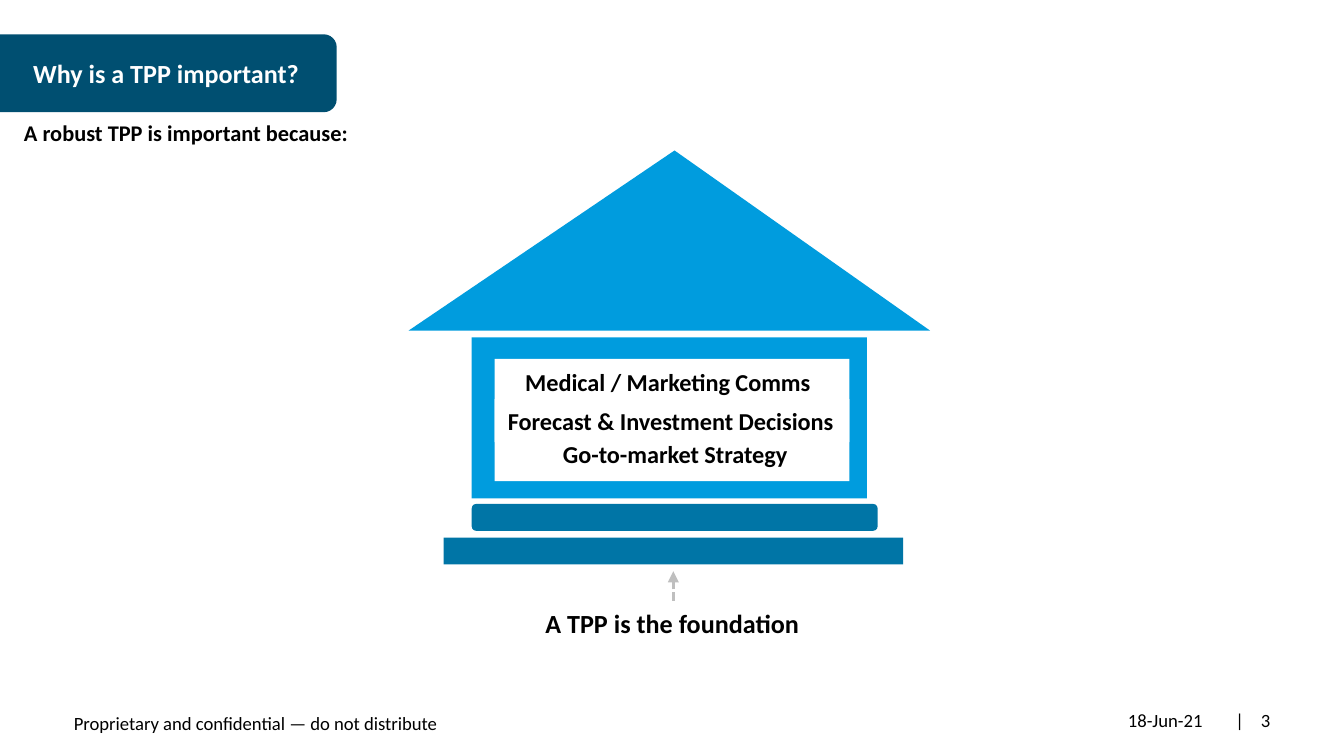
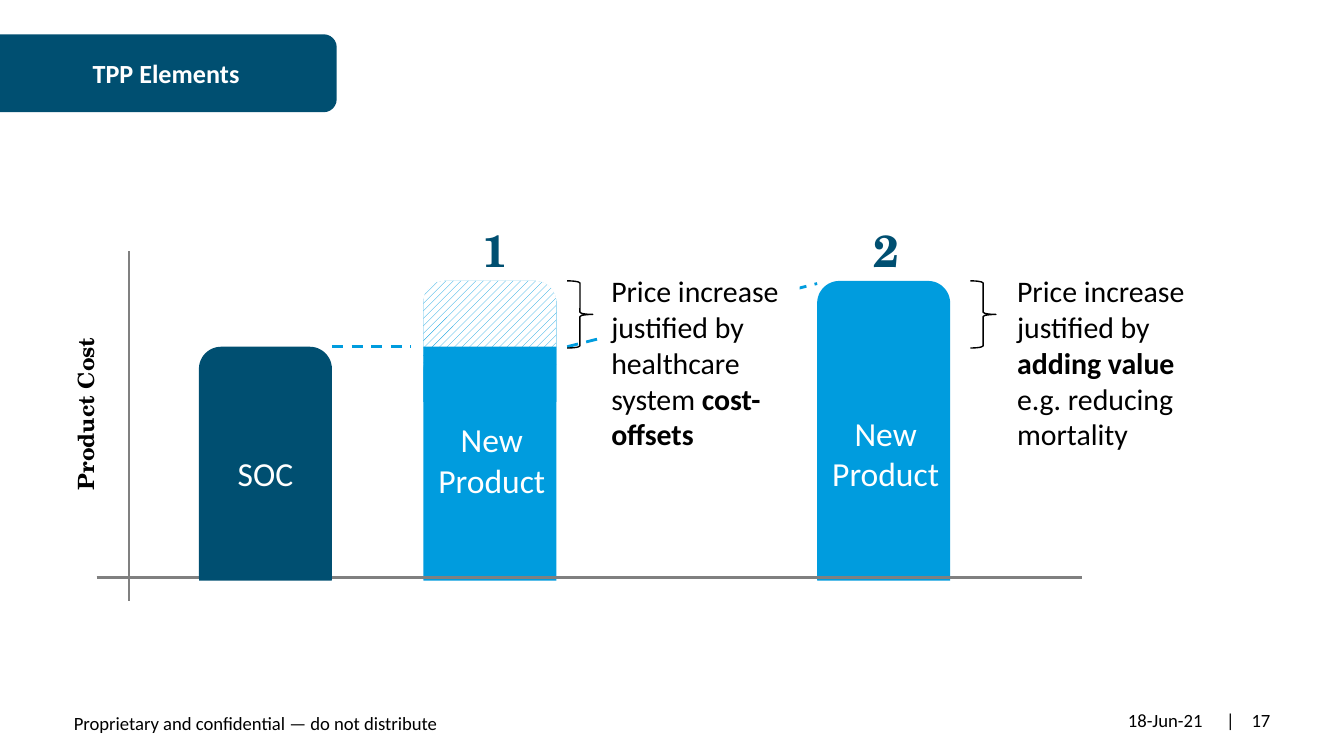
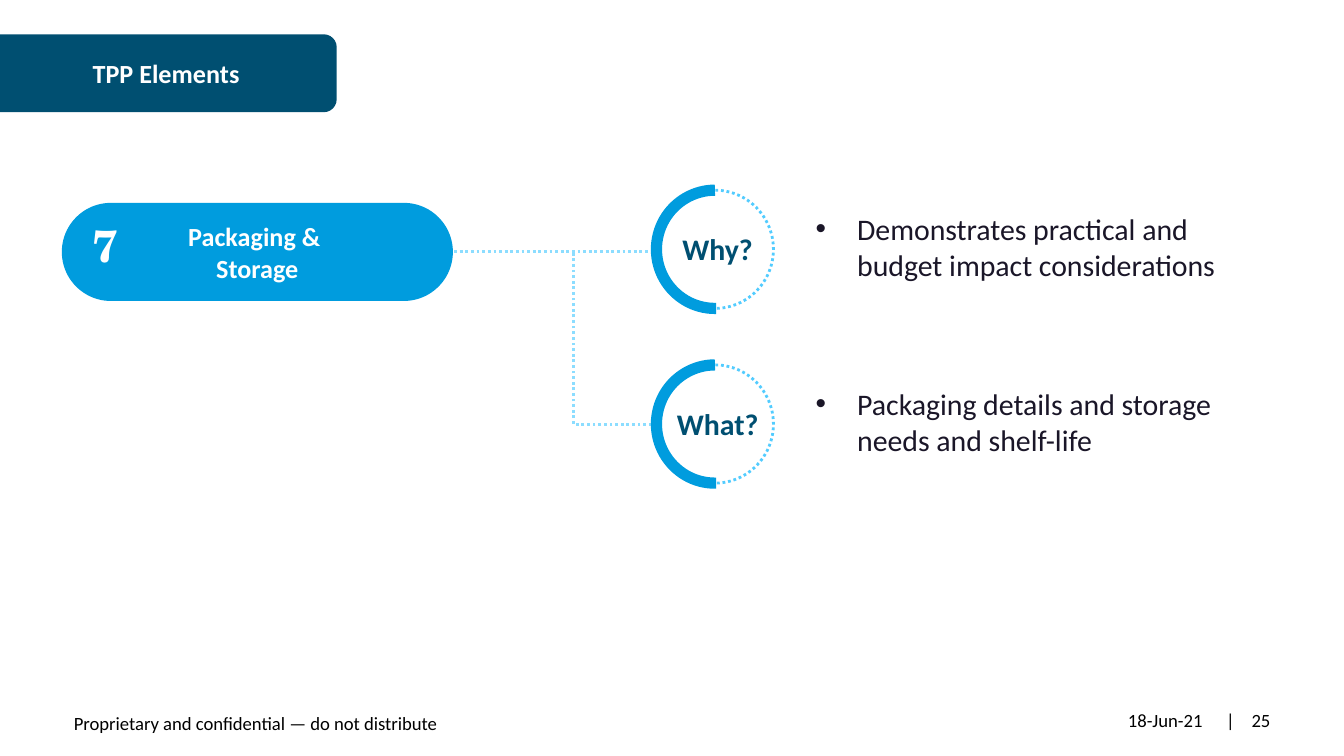
from lxml import etree
from pptx import Presentation
from pptx import util as u
from pptx.dml.color import RGBColor
from pptx.enum import dml, shapes, text
from pptx.oxml.ns import qn

COLORS = {
    "navy": "004F71", "blue": "009CDE", "steel": "0075A6", "sky": "52CCFF",
    "pale": "8CDDFF", "axis": "808080", "arrow": "BFBFBF", "ink": "1A1628",
    "black": "000000", "white": "FFFFFF",
}
RGB = {key: RGBColor.from_string(value) for key, value in COLORS.items()}
BODY, SERIF = "Calibri", "TeX Gyre Schola"
FORM = shapes.MSO_SHAPE
DASH = dml.MSO_LINE
LEFT, CENTER, RIGHT = text.PP_ALIGN.LEFT, text.PP_ALIGN.CENTER, text.PP_ALIGN.RIGHT
TOP, MIDDLE, BOTTOM = text.MSO_ANCHOR.TOP, text.MSO_ANCHOR.MIDDLE, text.MSO_ANCHOR.BOTTOM


def put(canvas, box, words="", form=None, fill=None, line=None, size=10, color="black",
        bold=False, font=BODY, align=LEFT, anchor=TOP, wrap=True, grow=False,
        insets=(0.1, 0.1), turn=0):
    """Add a shape, or a text box if form is None; **marks** make words bold."""
    place = [u.Inches(n) for n in box]
    item = canvas.add_shape(form, *place) if form else canvas.add_textbox(*place)
    item.rotation = turn
    if form:
        item.shadow.inherit = False
        if fill:
            item.fill.solid()
            item.fill.fore_color.rgb = RGB[fill]
        else:
            item.fill.background()
        if line:
            tint, weight, dash = line
            item.line.color.rgb = RGB[tint]
            item.line.width = u.Pt(weight)
            item.line.dash_style = dash
        else:
            item.line.fill.background()
    if not words:
        return item
    frame = item.text_frame
    frame.word_wrap = wrap
    frame.vertical_anchor = anchor
    frame.margin_left, frame.margin_right = [u.Inches(n) for n in insets]
    if grow:
        frame.auto_size = text.MSO_AUTO_SIZE.SHAPE_TO_FIT_TEXT
    for i, row in enumerate(words.split("\n")):
        paragraph = frame.add_paragraph() if i else frame.paragraphs[0]
        paragraph.alignment = align
        paragraph.font.name = font
        paragraph.font.size = u.Pt(size)
        paragraph.font.bold = bold
        paragraph.font.color.rgb = RGB[color]
        for j, part in enumerate(row.split("**")):
            if part:
                run = paragraph.add_run()
                run.text = part
                if j % 2:
                    run.font.bold = True
    return item


def connect(canvas, start, end, color, dash=DASH.SOLID, preset="line", arrow=False):
    link = canvas.add_connector(shapes.MSO_CONNECTOR.STRAIGHT,
                                *[u.Inches(n) for n in (*start, *end)])
    link.line.color.rgb = RGB[color]
    link.line.width = u.Pt(1.5)
    link.line.dash_style = dash
    properties = link._element.spPr
    properties.find(qn("a:prstGeom")).set("prst", preset)
    if arrow:
        etree.SubElement(properties.find(qn("a:ln")), qn("a:tailEnd"), type="triangle")
    etree.SubElement(properties, qn("a:effectLst"))


deck = Presentation()
deck.slide_width = u.Inches(10)
deck.slide_height = deck.slide_width * 9 // 16

# Title tab and footer of every slide
pages = []
for title, number in (("Why is a TPP important?", 3), ("TPP Elements", 17), ("TPP Elements", 25)):
    page = deck.slides.add_slide(deck.slide_layouts[6]).shapes
    put(page, (0.55, 5.27, 3.34, 0.24), "Proprietary and confidential — do not distribute",
        anchor=BOTTOM, insets=(0, 0))
    put(page, (8.24, 5.21, 0.86, 0.3), "18-Jun-21", align=CENTER, anchor=MIDDLE)
    counter = put(page, (8.93, 5.21, 0.62, 0.3), "| ", align=RIGHT, anchor=MIDDLE,
                  insets=(0, 0.1)).text_frame.paragraphs[0]
    counter.runs[0]._r.get_or_add_rPr().set("spc", "340")  # widens the gap after the bar
    counter.add_run().text = str(number)
    tab = put(page, (0.96, -0.71, 0.58, 2.51), title, FORM.ROUND_2_SAME_RECTANGLE, "navy",
              size=14, color="white", bold=True, align=CENTER, anchor=MIDDLE, turn=90)
    tab.text_frame._txBody.bodyPr.set("vert", "vert270")
    pages.append(page)
house, costs, packaging = pages

# House standing on the TPP
put(house, (0.08, 0.84, 2.68, 0.3), "A robust TPP is important because:",
    size=12, bold=True, wrap=False, grow=True)
put(house, (3.51, 2.51, 2.94, 1.2), form=FORM.RECTANGLE, fill="blue")
put(house, (3.3, 4, 3.42, 0.2), form=FORM.RECTANGLE, fill="steel")
put(house, (3.51, 3.75, 3.02, 0.2), form=FORM.ROUNDED_RECTANGLE, fill="steel")
roof = put(house, (3.04, 1.12, 3.88, 1.34), form=FORM.ISOSCELES_TRIANGLE, fill="blue")
roof.adjustments[0] = 0.51
put(house, (3.96, 4.47, 2.1, 0.34), "A TPP is the foundation",
    size=14, bold=True, wrap=False, grow=True)
put(house, (3.68, 2.67, 2.64, 0.91), form=FORM.RECTANGLE, fill="white")
connect(house, (5.01, 4.47), (5.01, 4.25), "arrow", DASH.SQUARE_DOT, arrow=True)
for use, left, top, width, wrap in (
        ("Medical / Marketing Comms", 3.81, 2.68, 2.36, False),
        ("Forecast & Investment Decisions", 3.68, 2.97, 2.64, True),
        ("Go-to-market Strategy", 4.09, 3.22, 1.89, False)):
    put(house, (left, top, width, 0.32), use, FORM.RECTANGLE, "white",
        size=13, bold=True, wrap=wrap, grow=True)

# Product cost bars
BAR, NEW_TOP, SOC_TOP = 0.99, 2.09, 2.58
OFFSET_LEFT, VALUE_LEFT = 3.15, 6.08
for left in (VALUE_LEFT, OFFSET_LEFT):
    put(costs, (left, NEW_TOP, BAR, 2.38), form=FORM.ROUNDED_RECTANGLE, fill="blue")
connect(costs, (0.72, 4.3), (8.05, 4.3), "axis")
connect(costs, (0.96, 4.47), (0.96, 1.87), "axis")
put(costs, (-0.36, 2.93, 1.99, 0.3), "Product Cost", size=12, bold=True, font=SERIF,
    align=CENTER, grow=True, turn=270)
put(costs, (1.48, SOC_TOP, BAR, 1.88), "SOC", FORM.ROUNDED_RECTANGLE, "navy",
    size=18, color="white", align=CENTER, anchor=MIDDLE)
put(costs, (1.45, 4.32, 7.08, 0.5), form=FORM.RECTANGLE, fill="white")
increase = put(costs, (OFFSET_LEFT, NEW_TOP, BAR, 0.77), form=FORM.ROUNDED_RECTANGLE)
increase.adjustments[0] = 0.2
increase.fill.patterned()
increase.fill.pattern = dml.MSO_PATTERN.WIDE_UPWARD_DIAGONAL
increase.fill.fore_color.rgb = RGB["blue"]
increase.fill.back_color.rgb = RGB["white"]
put(costs, (OFFSET_LEFT, SOC_TOP, BAR, 0.41), form=FORM.RECTANGLE, fill="blue")
connect(costs, (2.47, SOC_TOP), (3.06, SOC_TOP), "blue", DASH.DASH)
connect(costs, (4.22, SOC_TOP), (VALUE_LEFT, 2.11), "blue", DASH.DASH)
for number, number_box, brace_left, reason_left, form, reason, name_left, name_top in (
        ("1", (3.49, 1.61, 0.37, 0.5), 4.22, 4.45, FORM.RECTANGLE,
         "Price increase justified by healthcare system **cost-offsets**", 3.06, 3.07),
        ("2", (6.4, 1.61, 0.41, 0.5), 7.22, 7.47, None,
         "Price increase justified by **adding value **e.g. reducing mortality", 5.99, 3.02)):
    put(costs, number_box, number, size=24, color="navy", bold=True, font=SERIF,
        anchor=MIDDLE, wrap=False, grow=True)
    put(costs, (brace_left, NEW_TOP, 0.19, 0.5), form=FORM.RIGHT_BRACE,
        line=("black", 0.75, DASH.SOLID))
    put(costs, (reason_left, 1.98, 1.5, 1.45), reason, form, "white", size=16, grow=True)
    put(costs, (name_left, name_top, 1.2, 0.71), "New Product", size=18, color="white",
        align=CENTER, grow=True)

# Packaging & storage: why and what
connect(packaging, (4.89, 3.16), (4.27, 1.87), "pale", DASH.ROUND_DOT, "bentConnector2")
connect(packaging, (3.38, 1.87), (4.89, 1.87), "pale", DASH.ROUND_DOT)
element = put(packaging, (0.46, 1.51, 2.91, 0.73), "Packaging & \nStorage",
              FORM.ROUNDED_RECTANGLE, "blue", size=14, color="white", bold=True,
              align=CENTER, anchor=MIDDLE)
element.adjustments[0] = 0.5
put(packaging, (0.59, 1.57, 0.39, 0.5), "7", size=24, color="white", bold=True, font=SERIF,
    anchor=MIDDLE, wrap=False, grow=True)
for i, (question, answer) in enumerate((
        ("Why?", "Demonstrates practical and budget impact considerations"),
        ("What?", "Packaging details and storage needs and shelf-life"))):
    top = 1.42 + 1.3 * i
    detail = put(packaging, (5.97, top + 0.1, 3.56, 0.64), answer, size=16, color="ink", grow=True)
    paragraph = detail.text_frame.paragraphs[0]
    paragraph.space_before = u.Pt(6)
    indents = paragraph._p.get_or_add_pPr()
    indents.set("marL", str(u.Inches(0.31)))
    indents.set("indent", str(u.Inches(-0.31)))
    run_defaults = indents.find(qn("a:defRPr"))
    run_defaults.addprevious(etree.Element(qn("a:buFont"), typeface="Arial"))
    run_defaults.addprevious(etree.Element(qn("a:buChar"), char="•"))

    ring = packaging.add_group_shape().shapes
    ring_box = (4.88, top, 0.88, 0.87)
    put(ring, (4.95, top + 0.07, 0.74, 0.73), form=FORM.OVAL, fill="white", turn=270)
    put(ring, ring_box, form=FORM.OVAL, fill="white", line=("sky", 1.5, DASH.ROUND_DOT), turn=270)
    half = put(ring, ring_box, form=FORM.ARC, fill="white", line=("blue", 6, DASH.SOLID), turn=270)
    half.adjustments[0], half.adjustments[1] = 107.3, 0
    put(packaging, (4.89, top + 0.25, 0.9, 0.37), question, size=16, color="navy", bold=True,
        align=CENTER, grow=True)

deck.save("out.pptx")
